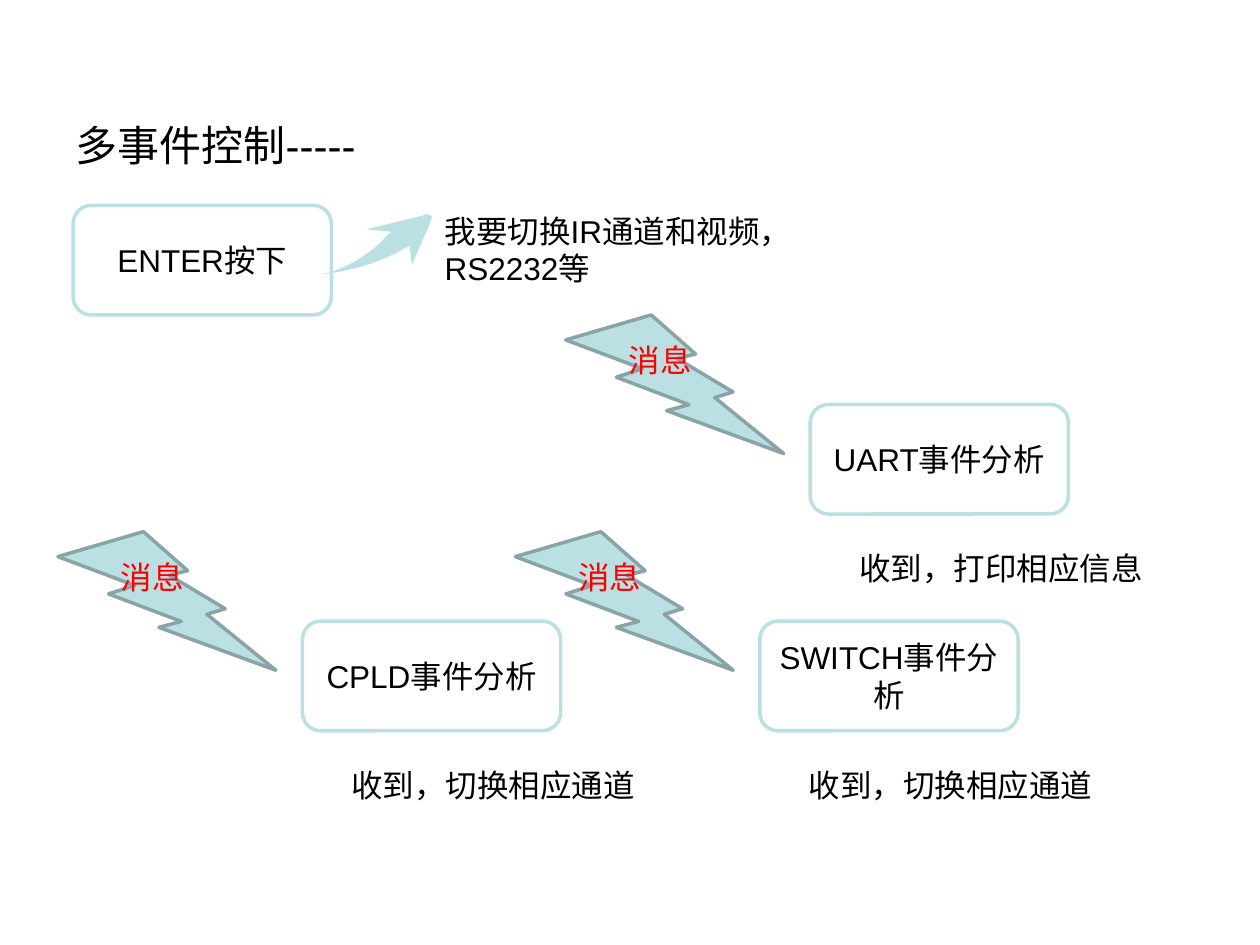
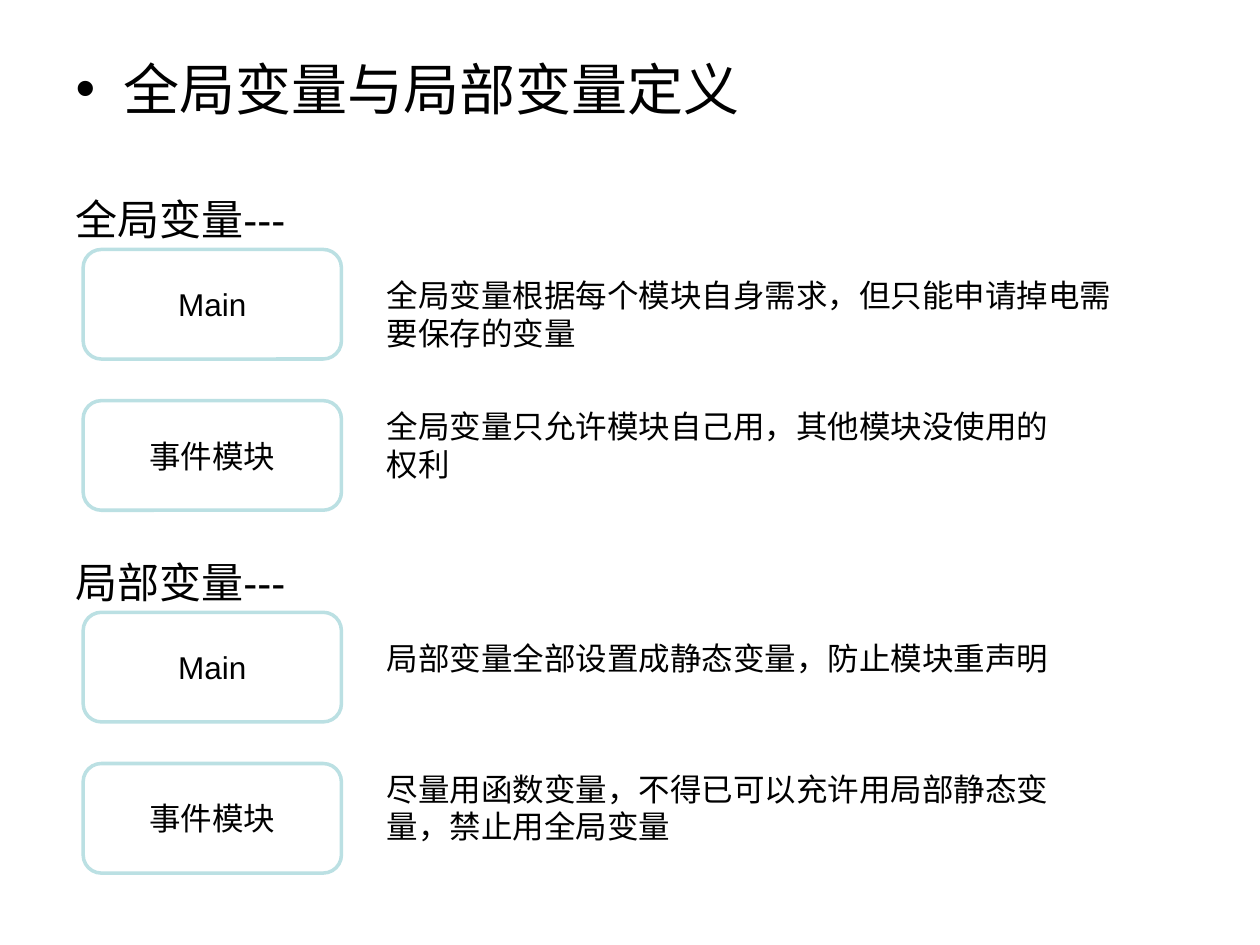
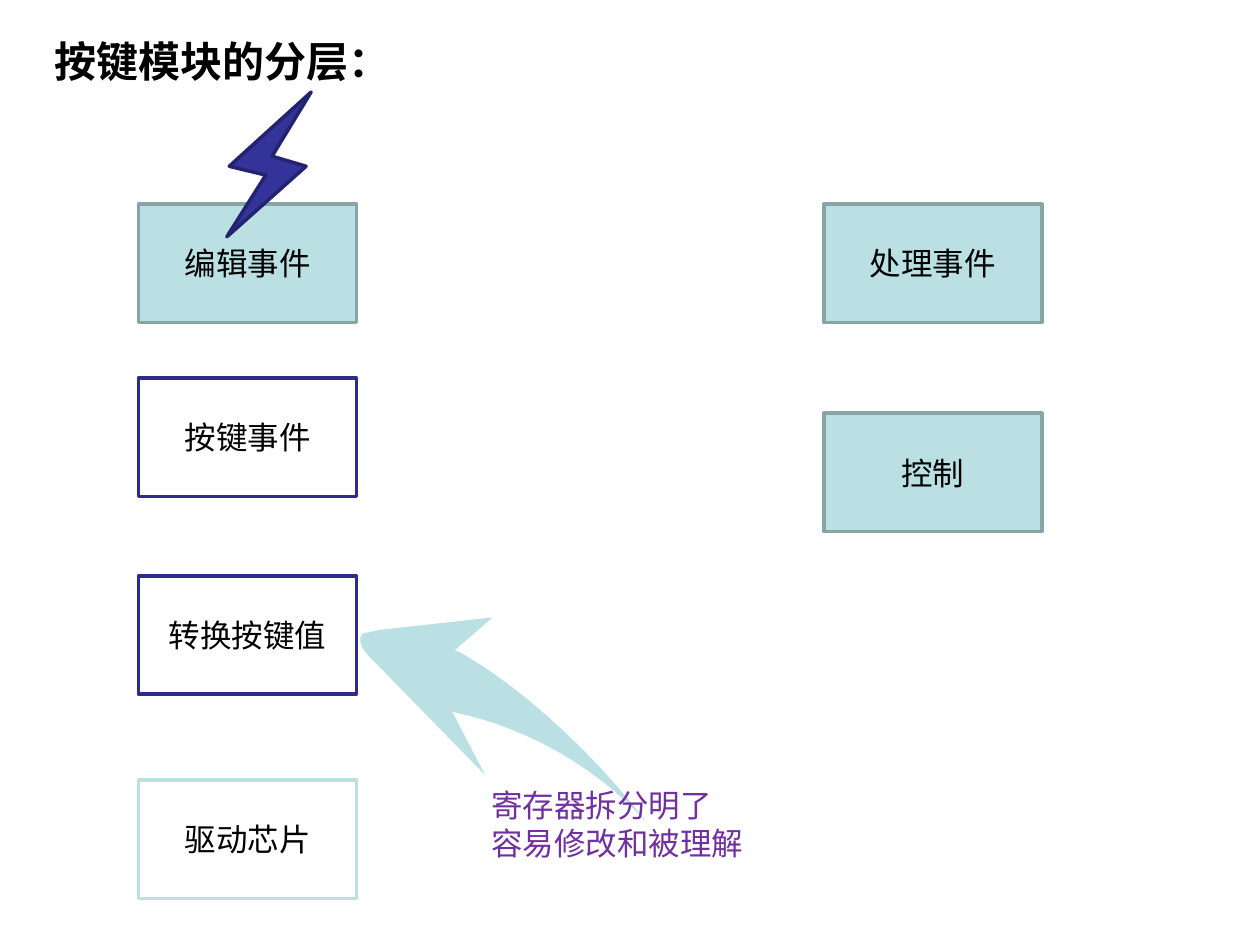
from pptx import Presentation
from pptx.dml.color import RGBColor
from pptx.enum.shapes import MSO_SHAPE as Kind
from pptx.enum.text import MSO_ANCHOR as Anchor, MSO_AUTO_SIZE as Fit, PP_ALIGN as Align
from pptx.oxml.ns import qn
from pptx.util import Inches, Pt
from lxml.etree import SubElement

FONT = "Arial"
BLACK = "000000"
WHITE = "FFFFFF"
RED = "FF0000"
PURPLE = "7030A0"
AQUA = "BBE0E3"
SLATE = "89A4A7"
NAVY = "2D2D89"
INDIGO = "333399"
DARK = "23236F"

SWOOSH = [
    (3.38, 1.7), (3.4, 1.7, 3.41, 1.71, 3.42, 1.71),
    (3.43, 1.72, 3.43, 1.73, 3.42, 1.75), (3.41, 1.78),
    (3.31, 2.01), (3.27, 2.1), (3.25, 1.95), (3.23, 1.96),
    (2.96, 2.13, 2.61, 2.17, 2.56, 2.18),
    (2.78, 2.12, 2.96, 2, 3.07, 1.87), (3.11, 1.84),
    (2.91, 1.82), (3.36, 1.71),
]
SWEEP = [
    (2.89, 5.16), (2.87, 5.13, 2.86, 5.1, 2.86, 5.08),
    (2.86, 5.04, 2.88, 5.02, 2.92, 5.02), (3.01, 5),
    (3.91, 4.9), (3.61, 5.16), (3.66, 5.18),
    (4.42, 5.62, 5.04, 6.4, 5.12, 6.51),
    (4.69, 6.05, 4.16, 5.79, 3.72, 5.68), (3.59, 5.65),
    (3.85, 6.15), (2.94, 5.22), (2.92, 5.2),
]
SPARK = [(2.47, 0.73), (1.82, 1.32), (2.11, 1.39), (1.8, 1.88),
         (2.43, 1.32), (2.16, 1.24)]


def color(code):
    return RGBColor.from_string(code)


def place(shape, left, top, width, height):
    shape.left, shape.top = Inches(left), Inches(top)
    shape.width, shape.height = Inches(width), Inches(height)


def write(shape, text, size=18, ink=BLACK, align=Align.LEFT, bold=False):
    shape.text_frame.text = text
    for para in shape.text_frame.paragraphs:
        para.alignment = align
        font = para.font
        font.name, font.size, font.bold = FONT, Pt(size), bold
        font.color.rgb = color(ink)


def paint(shape, fill, line=None):
    shape.shadow.inherit = False
    shape.fill.solid()
    shape.fill.fore_color.rgb = color(fill)
    if line:
        shape.line.color.rgb = color(line)
        shape.line.width = Pt(2)
    else:
        shape.line.fill.background()


def add_title(slide, text, left, top, width, height, size=24, bold=False):
    title = slide.shapes.title
    place(title, left, top, width, height)
    frame = title.text_frame
    frame.auto_size = Fit.NONE
    frame.vertical_anchor = Anchor.MIDDLE
    write(title, text, size, bold=bold)
    return title


def add_bullet(para):
    props = para._p.get_or_add_pPr()
    props.set("marL", str(Inches(0.38)))
    props.set("indent", str(-Inches(0.38)))
    SubElement(props, qn("a:buFont"), typeface=FONT)
    SubElement(props, qn("a:buChar"), char="•")


def add_text(slide, text, left, top, width, height=0.4, size=18, ink=BLACK, wrap=True):
    box = slide.shapes.add_textbox(
        Inches(left), Inches(top), Inches(width), Inches(height))
    box.text_frame.word_wrap = wrap
    write(box, text, size, ink)


def add_form(slide, kind, left, top, width, height, fill, line, text=""):
    shape = slide.shapes.add_shape(
        kind, Inches(left), Inches(top), Inches(width), Inches(height))
    paint(shape, fill, line)
    if text:
        shape.text_frame.word_wrap = True
        shape.text_frame.vertical_anchor = Anchor.MIDDLE
        write(shape, text, align=Align.CENTER)


def add_node(slide, text, left, top):
    add_form(slide, Kind.FLOWCHART_ALTERNATE_PROCESS, left, top, 2.05, 0.87,
             WHITE, AQUA, text)


def add_layer(slide, text, left, top, fill, line):
    add_form(slide, Kind.RECTANGLE, left, top, 1.73, 0.94, fill, line, text)


def add_event(slide, name, reply, left, top):
    add_form(slide, Kind.LIGHTNING_BOLT, left, top, 1.73, 1.1, AQUA, SLATE)
    add_text(slide, "消息", left + 0.4, top + 0.16, 0.7, ink=RED, wrap=False)
    add_node(slide, name, left + 1.94, top + 0.71)
    add_text(slide, reply, left + 2.23, top + 1.81, 3.22)


def trace(path, steps=12):
    points = [path[0]]
    for part in path[1:]:
        if len(part) == 2:
            points.append(part)
            continue
        ends = [points[-1], part[:2], part[2:4], part[4:]]
        for step in range(1, steps + 1):
            t = step / steps
            rates = ((1 - t) ** 3, 3 * t * (1 - t) ** 2, 3 * t * t * (1 - t), t ** 3)
            points.append(tuple(
                sum(rate * end[axis] for rate, end in zip(rates, ends))
                for axis in (0, 1)))
    return [(Inches(x), Inches(y)) for x, y in points]


def add_free(slide, path, fill, line=None):
    points = trace(path)
    build = slide.shapes.build_freeform(*points[0])
    build.add_line_segments(points[1:], close=True)
    paint(build.convert_to_shape(), fill, line)


def add_events(slide):
    add_title(slide, "多事件控制-----", 0.5, 0.9, 9, 0.5)
    add_node(slide, "ENTER按下", 0.58, 1.63)
    add_free(slide, SWOOSH, AQUA)
    add_text(slide, "我要切换IR通道和视频，RS2232等", 3.43, 1.63, 2.78, 1)
    for event in (
        ("CPLD事件分析", "收到，切换相应通道", 0.46, 4.22),
        ("SWITCH事件分析", "收到，切换相应通道", 4.09, 4.22),
        ("UART事件分析", "收到，打印相应信息", 4.49, 2.5),
    ):
        add_event(slide, *event)


def add_scopes(slide):
    title = add_title(slide, "全局变量与局部变量定义", 0.5, 0.38, 9, 0.64, 32)
    add_bullet(title.text_frame.paragraphs[0])
    scopes = (
        ("全局变量---", 1.98, "全局变量根据每个模块自身需求，但只能申请掉电需要保存的变量",
         "全局变量只允许模块自己用，其他模块没使用的权利"),
        ("局部变量---", 4.86, "局部变量全部设置成静态变量，防止模块重声明",
         "尽量用函数变量，不得已可以充许用局部静态变量，禁止用全局变量"),
    )
    for head, top, main_rule, event_rule in scopes:
        add_text(slide, head, 0.5, top - 0.49, 4, 0.5, size=24)
        add_node(slide, "Main", 0.66, top)
        add_text(slide, main_rule, 2.97, top + 0.16, 6.09, 0.7)
        add_node(slide, "事件模块", 0.66, top + 1.2)
        add_text(slide, event_rule, 2.97, top + 1.2, 5.58, 0.7)


def add_layers(slide):
    add_title(slide, "按键模块的分层：", 0.33, 0.23, 6.21, 0.5, bold=True)
    for layer in (
        ("编辑事件", 1.1, 1.62, AQUA, SLATE),
        ("按键事件", 1.1, 3, WHITE, NAVY),
        ("转换按键值", 1.1, 4.57, WHITE, NAVY),
        ("驱动芯片", 1.1, 6.19, WHITE, AQUA),
        ("处理事件", 6.54, 1.62, AQUA, SLATE),
        ("控制", 6.54, 3.28, AQUA, SLATE),
    ):
        add_layer(slide, *layer)
    add_free(slide, SWEEP, AQUA)
    add_text(slide, "寄存器拆分明了\n容易修改和被理解", 3.8, 6.19, 2.2, 0.7,
             ink=PURPLE, wrap=False)
    add_free(slide, SPARK, INDIGO, DARK)


def main():
    deck = Presentation()
    deck.slide_width, deck.slide_height = Inches(10), Inches(7.5)
    for fill_slide in (add_events, add_scopes, add_layers):
        fill_slide(deck.slides.add_slide(deck.slide_layouts[5]))
    deck.save("out.pptx")


if __name__ == "__main__":
    main()
